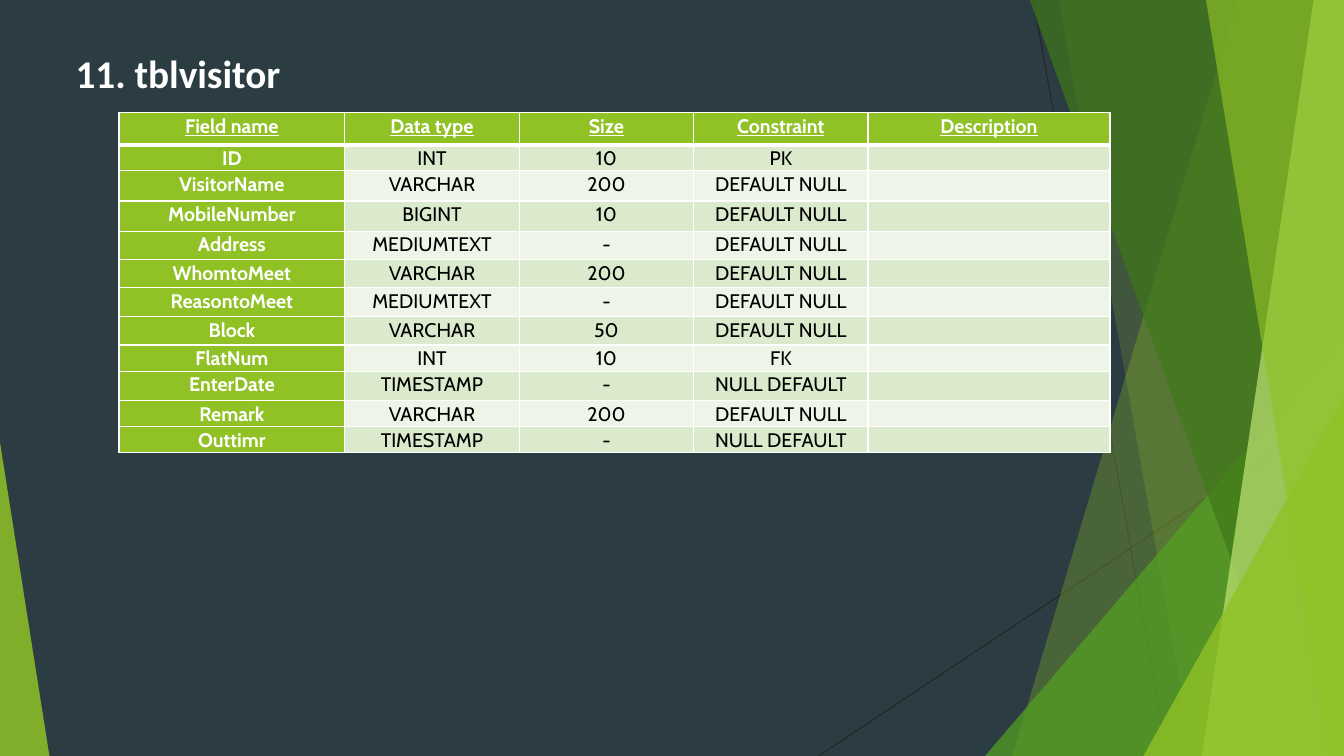
from lxml.etree import SubElement
from pptx import Presentation
from pptx.dml.color import RGBColor
from pptx.enum.shapes import MSO_CONNECTOR as Link, MSO_SHAPE as Shape
from pptx.enum.text import MSO_ANCHOR as Anchor, MSO_AUTO_SIZE as Fit, PP_ALIGN as Align
from pptx.oxml.ns import qn
from pptx.util import Inches, Pt

WIDE, HIGH = 13.33, 7.5
COLORS = {
    "slate": "2C3C43", "wire": "262626", "lime": "90C226", "green": "54A021",
    "forest": "3F7819", "pale": "C0E474", "white": "FFFFFF", "black": "000000",
    "odd": "DBE9CD", "even": "EEF4E8",
}
HEADS = ["Field name", "Data type", "Size", "Constraint", "Description"]
FIELDS = [
    ["ID", "INT", "10", "PK", ""],
    ["VisitorName", "VARCHAR", "200", "DEFAULT NULL", ""],
    ["MobileNumber", "BIGINT", "10", "DEFAULT NULL", ""],
    ["Address", "MEDIUMTEXT", "-", "DEFAULT NULL", ""],
    ["WhomtoMeet", "VARCHAR", "200", "DEFAULT NULL", ""],
    ["ReasontoMeet", "MEDIUMTEXT", "-", "DEFAULT NULL", ""],
    ["Block", "VARCHAR", "50", "DEFAULT NULL", ""],
    ["FlatNum", "INT", "10", "FK", ""],
    ["EnterDate", "TIMESTAMP", "-", "NULL DEFAULT", ""],
    ["Remark", "VARCHAR", "200", "DEFAULT NULL", ""],
    ["Outtimr", "TIMESTAMP", "-", "NULL DEFAULT", ""],
]
WIDTHS = [2.24, 1.73, 1.73, 1.73, 2.4]
HEIGHTS = [0.32, 0.25, 0.3, 0.3, 0.28, 0.28, 0.29, 0.28, 0.26, 0.29, 0.26, 0.23]


def rgb(name):
    return RGBColor.from_string(COLORS[name])


def inches(*sizes):
    return [Inches(size) for size in sizes]


def style(item, values):
    for key, value in values.items():
        setattr(item, key, value)


def tint(shape, color, alpha):
    """Fill a shape with a partly opaque colour, without line or shadow."""
    shape.shadow.inherit = False
    shape.line.fill.background()
    shape.fill.solid()
    shape.fill.fore_color.rgb = rgb(color)
    tone = shape.fill._xPr.find(".//" + qn("a:srgbClr"))
    SubElement(tone, qn("a:alpha"), val=str(alpha * 1000))


def wire(slide, start, end):
    line = slide.shapes.add_connector(Link.STRAIGHT, *inches(*start, *end))
    line.line.color.rgb = rgb("wire")
    line.line.width = Pt(0.75)
    SubElement(line._element.spPr, qn("a:effectLst"))


def panel(slide, right, base, top, foot, color, alpha):
    """Draw a full-height panel; top and foot are its widths at either end."""
    build = slide.shapes.build_freeform(*inches(right - top, -0.01))
    build.add_line_segments([
        inches(right, -0.01), inches(right, base), inches(right - foot, base),
    ])
    tint(build.convert_to_shape(), color, alpha)


def wedge(slide, left, base, width, height, apex, color, alpha):
    box = inches(left, base - height, width, height)
    shape = slide.shapes.add_shape(Shape.ISOSCELES_TRIANGLE, *box)
    shape.adjustments[0] = apex
    tint(shape, color, alpha)


def facets(slide, left, top, width, height):
    right, base = left + width, top + height
    wire(slide, (right - 3.08, top), (right - 1.75, base))
    wire(slide, (right, top + 4.03), (right - 5.21, base))
    panel(slide, right, base, 1.05, 3.29, "lime", 30)
    panel(slide, right, base, 2.83, 1.5, "lime", 20)
    wedge(slide, right - 3.56, base, 3.56, 4.17, 1, "green", 72)
    panel(slide, right, base, 3.12, 0.42, "forest", 70)
    panel(slide, right, base, 0.3, 1.41, "pale", 70)
    panel(slide, right, base, 1.37, 0.15, "lime", 65)
    wedge(slide, right - 1.99, base, 1.99, 3.57, 1, "lime", 80)
    wedge(slide, left, base, 0.49, 3.11, 0, "lime", 85)


def heading(slide, text, left, top, width, height):
    title = slide.shapes.title
    style(title, dict(zip(("left", "top", "width", "height"),
                          inches(left, top, width, height))))
    frame = title.text_frame
    frame.text = text
    style(frame, {"word_wrap": False, "auto_size": Fit.NONE,
                  "vertical_anchor": Anchor.TOP})
    para = frame.paragraphs[0]
    para.alignment = Align.LEFT
    font = para.runs[0].font
    style(font, {"name": "Calibri", "size": Pt(28), "bold": True})
    font.color.rgb = rgb("white")


def edge(cell, side, points):
    line = SubElement(cell._tc.get_or_add_tcPr(), qn("a:ln" + side), w=str(Pt(points)))
    fill = SubElement(line, qn("a:solidFill"))
    SubElement(fill, qn("a:srgbClr"), val=COLORS["white"])


def fill_cell(cell, text, row, col):
    head, label = row == 0, row == 0 or col == 0
    style(cell, {"margin_left": Inches(0.1), "margin_right": Inches(0.1),
                 "margin_top": 0, "margin_bottom": 0})
    for side in "LRTB":
        thick = (row, side) in ((0, "B"), (1, "T"))
        edge(cell, side, 3 if thick else 1)
    cell.fill.solid()
    cell.fill.fore_color.rgb = rgb("lime" if label else "odd" if row % 2 else "even")
    para = cell.text_frame.paragraphs[0]
    style(para, {"alignment": Align.CENTER, "line_spacing": 1.07})
    if not text:
        SubElement(para._p, qn("a:endParaRPr"), sz="1400")
        return
    run = para.add_run()
    run.text = text
    style(run.font, {"name": "Cabin", "size": Pt(14), "bold": label, "underline": head})
    run.font.color.rgb = rgb("white" if label else "black")


def field_table(slide, left, top, width, height):
    rows = [HEADS] + FIELDS
    box = inches(left, top, width, height)
    table = slide.shapes.add_table(len(rows), len(HEADS), *box).table
    for col, size in zip(table.columns, WIDTHS):
        col.width = Inches(size)
    for row, size in zip(table.rows, HEIGHTS):
        row.height = Inches(size)
    for r, texts in enumerate(rows):
        for c, text in enumerate(texts):
            fill_cell(table.cell(r, c), text, r, c)


def main():
    deck = Presentation()
    deck.slide_width, deck.slide_height = inches(WIDE, HIGH)
    slide = deck.slides.add_slide(deck.slide_layouts[5])
    slide.background.fill.solid()
    slide.background.fill.fore_color.rgb = rgb("slate")
    facets(slide, 0, 0, WIDE, HIGH)
    heading(slide, "11. tblvisitor", 0.65, 0.44, 2.26, 1.04)
    field_table(slide, 1.18, 1.12, sum(WIDTHS), sum(HEIGHTS))
    deck.save("out.pptx")


if __name__ == "__main__":
    main()
